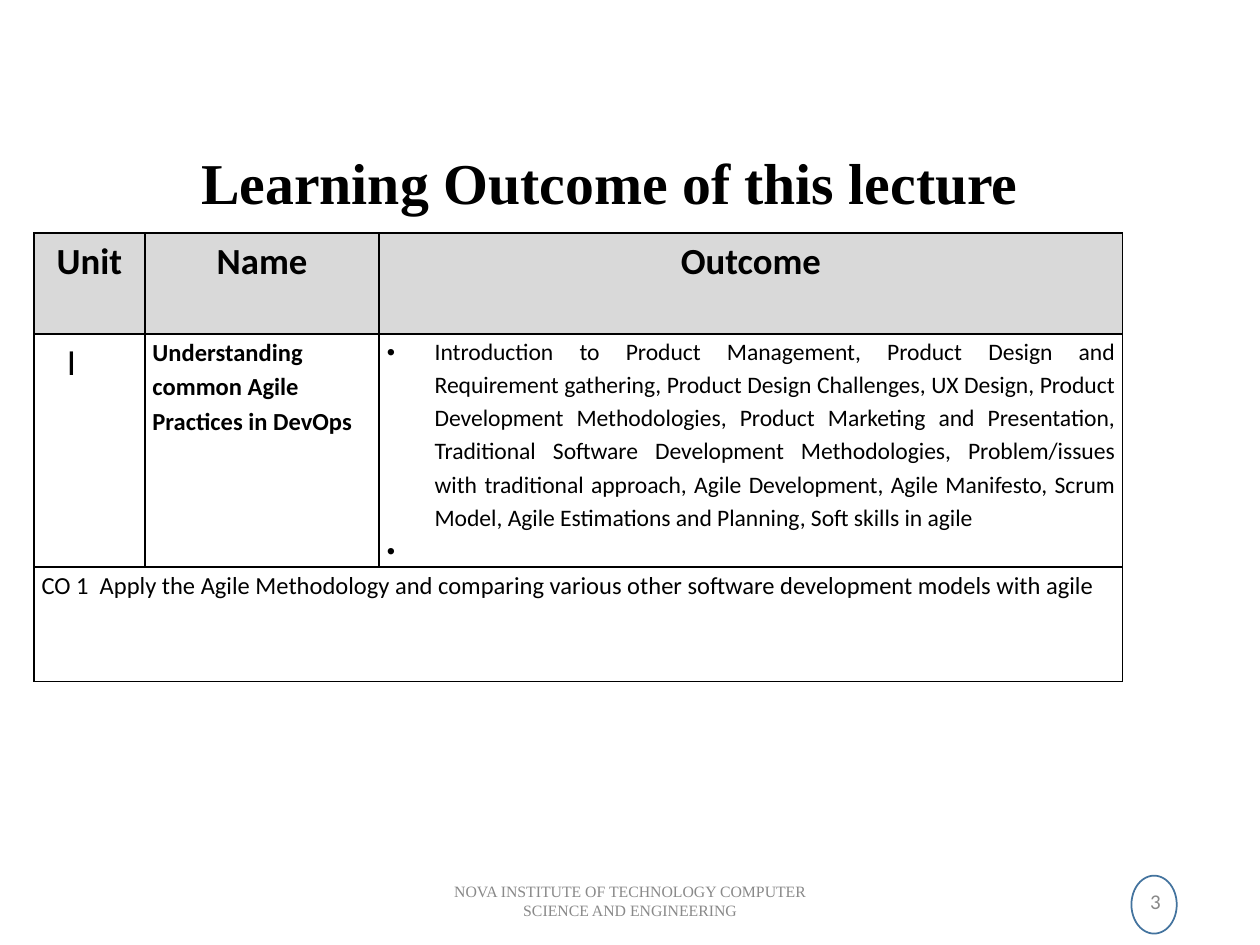
from dataclasses import dataclass

from lxml import etree
from pptx import Presentation
from pptx.dml.color import RGBColor
from pptx.enum.shapes import MSO_SHAPE
from pptx.enum.text import MSO_ANCHOR, PP_ALIGN
from pptx.oxml.ns import qn
from pptx.util import Inches, Pt

LEFT, CENTER, RIGHT, JUSTIFY = PP_ALIGN.LEFT, PP_ALIGN.CENTER, PP_ALIGN.RIGHT, PP_ALIGN.JUSTIFY
MIDDLE, BOTTOM = MSO_ANCHOR.MIDDLE, MSO_ANCHOR.BOTTOM
OVAL = MSO_SHAPE.OVAL
TITLE_ONLY = 5


@dataclass(frozen=True)
class Theme:
    """Fonts, colours and type sizes of the slide."""
    serif: str = "Times New Roman"
    sans: str = "Calibri"
    ink: str = "000000"
    muted: str = "898989"
    ring: str = "43739E"
    header: str = "D9D9D9"
    title: float = 33
    heading: float = 21
    body: float = 14
    outcome: float = 13.5
    number: float = 12
    footer: float = 9


def assign(target, values):
    """Set each named attribute on the target."""
    for name, value in values.items():
        setattr(target, name, value)


class SlideBuilder:
    """Holds the theme and the current slide."""

    def __init__(self, deck, theme):
        """Add a title-only slide to the deck."""
        self.theme = theme
        self.slide = deck.slides.add_slide(deck.slide_layouts[TITLE_ONLY])

    def fill_paragraph(self, paragraph, text, size, font=None, color=None, bold=False,
                       align=LEFT, spacing=1.0):
        """Fill one paragraph with formatted text."""
        assign(paragraph, {"alignment": align, "line_spacing": spacing})
        run = paragraph.add_run()
        run.text = text
        assign(run.font, {"name": font or self.theme.sans, "size": Pt(size), "bold": bold})
        run.font.color.rgb = RGBColor.from_string(color or self.theme.ink)

    def title(self, text, box):
        """Place and format the title placeholder."""
        heading = self.slide.shapes.title
        assign(heading, dict(zip(("left", "top", "width", "height"), map(Inches, box))))
        assign(heading.text_frame, {"vertical_anchor": BOTTOM, "word_wrap": True})
        self.fill_paragraph(heading.text_frame.paragraphs[0], text, self.theme.title,
                            self.theme.serif, bold=True, align=CENTER, spacing=0.9)

    def label(self, text, box, **style):
        """Add a vertically centred line of text."""
        frame = self.slide.shapes.add_textbox(*map(Inches, box)).text_frame
        assign(frame, {"word_wrap": True, "vertical_anchor": MIDDLE})
        self.fill_paragraph(frame.paragraphs[0], text, color=self.theme.muted, **style)

    def ring(self, box):
        """Add an outlined oval."""
        oval = self.slide.shapes.add_shape(OVAL, *map(Inches, box))
        oval.shadow.inherit = False
        oval.fill.background()
        oval.line.color.rgb = RGBColor.from_string(self.theme.ring)
        oval.line.width = Pt(1)

    def table(self, box, widths, heights):
        """Add a plain bordered table."""
        grid = self.slide.shapes.add_table(len(heights), len(widths), *map(Inches, box)).table
        assign(grid, {"first_row": False, "horz_banding": False})
        for column, width in zip(grid.columns, widths):
            column.width = Inches(width)
        for row, height in zip(grid.rows, heights):
            row.height = Inches(height)
        for cell in grid.iter_cells():
            assign(cell, {"margin_left": Inches(0.06), "margin_right": Inches(0.06),
                          "margin_top": 0, "margin_bottom": 0})
            cell.fill.background()
            self.border(cell)
        return grid

    def border(self, cell):
        """Draw all four edges of a cell."""
        properties = cell._tc.get_or_add_tcPr()
        for place, edge in enumerate(("a:lnL", "a:lnR", "a:lnT", "a:lnB")):
            line = etree.Element(qn(edge), w=str(Pt(1)))
            fill = etree.SubElement(line, qn("a:solidFill"))
            etree.SubElement(fill, qn("a:srgbClr"), val=self.theme.ink)
            properties.insert(place, line)

    def cell(self, cell, text, size, indent=0, **style):
        """Fill the first paragraph of a cell."""
        paragraph = cell.text_frame.paragraphs[0]
        self.fill_paragraph(paragraph, text, size, spacing=1.15, **style)
        paragraph._p.get_or_add_pPr().set("marL", str(Inches(indent)))

    def bullets(self, cell, items, size):
        """Add justified bullets with a hanging indent."""
        frame = cell.text_frame
        for index, item in enumerate(items):
            paragraph = frame.add_paragraph() if index else frame.paragraphs[0]
            self.fill_paragraph(paragraph, item, size, align=JUSTIFY, spacing=1.15)
            properties = paragraph._p.get_or_add_pPr()
            properties.set("marL", str(Inches(0.38)))
            properties.set("indent", str(-Inches(0.38)))
            etree.SubElement(properties, qn("a:buFont"), typeface="Arial")
            etree.SubElement(properties, qn("a:buChar"), char="•")


def main():
    """Build the learning outcome slide."""
    deck = Presentation()
    assign(deck, {"slide_width": Inches(10), "slide_height": Inches(7.5)})
    theme = Theme()
    page = SlideBuilder(deck, theme)
    page.ring((8.98, 6.95, 0.36, 0.46))
    page.title("Learning Outcome of this lecture", (0.69, 1.05, 8.3, 0.72))
    page.label("3", (7.06, 6.95, 2.25, 0.4), size=theme.number, align=RIGHT)

    outcomes = page.table((0.27, 1.85, 8.64, 3.56), (0.88, 1.86, 5.9), (0.8, 1.85, 0.91))
    for column, heading in enumerate(("Unit", "Name", "Outcome")):
        header = outcomes.cell(0, column)
        header.fill.solid()
        header.fill.fore_color.rgb = RGBColor.from_string(theme.header)
        page.cell(header, heading, theme.heading, bold=True, align=CENTER)
    page.cell(outcomes.cell(1, 0), "I", theme.heading, indent=0.2)
    page.cell(outcomes.cell(1, 1), "Understanding common Agile Practices in DevOps",
              theme.body, bold=True)
    page.bullets(outcomes.cell(1, 2), (
        "Introduction to Product Management, Product Design and Requirement gathering, "
        "Product Design Challenges, UX Design, Product Development Methodologies, "
        "Product Marketing and Presentation, Traditional Software Development Methodologies, "
        "Problem/issues with traditional approach, Agile Development, Agile Manifesto, "
        "Scrum Model, Agile Estimations and Planning, Soft skills in agile",
        " "), theme.outcome)
    course_outcome = outcomes.cell(2, 0)
    course_outcome.merge(outcomes.cell(2, 2))
    page.cell(course_outcome, "CO 1  Apply the Agile Methodology and comparing various other "
              "software development models with agile", theme.body)

    page.label("NOVA INSTITUTE OF TECHNOLOGY COMPUTER SCIENCE AND ENGINEERING",
               (3.31, 6.95, 3.38, 0.4), size=theme.footer, font=theme.serif, align=CENTER)
    deck.save("out.pptx")


if __name__ == "__main__":
    main()
